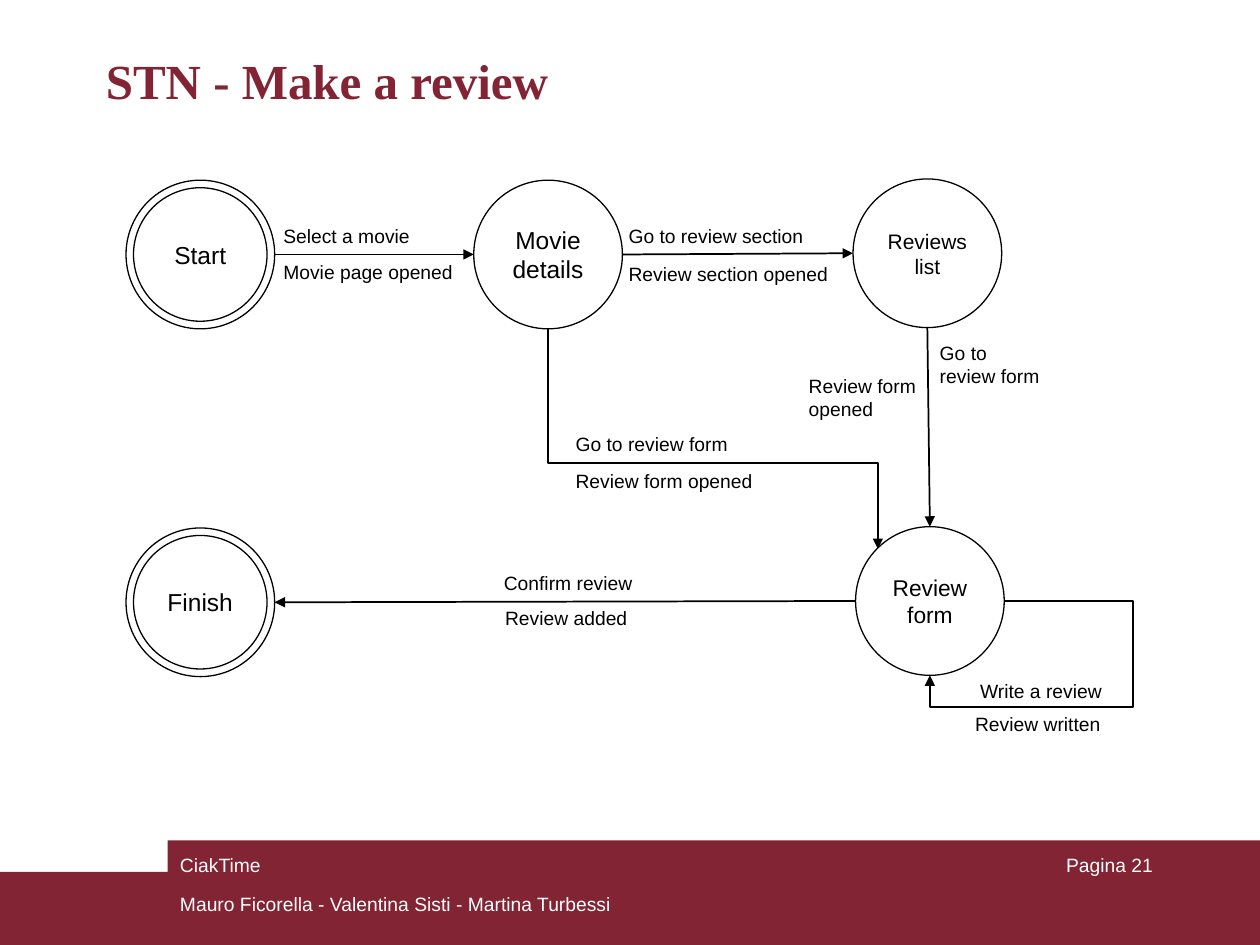
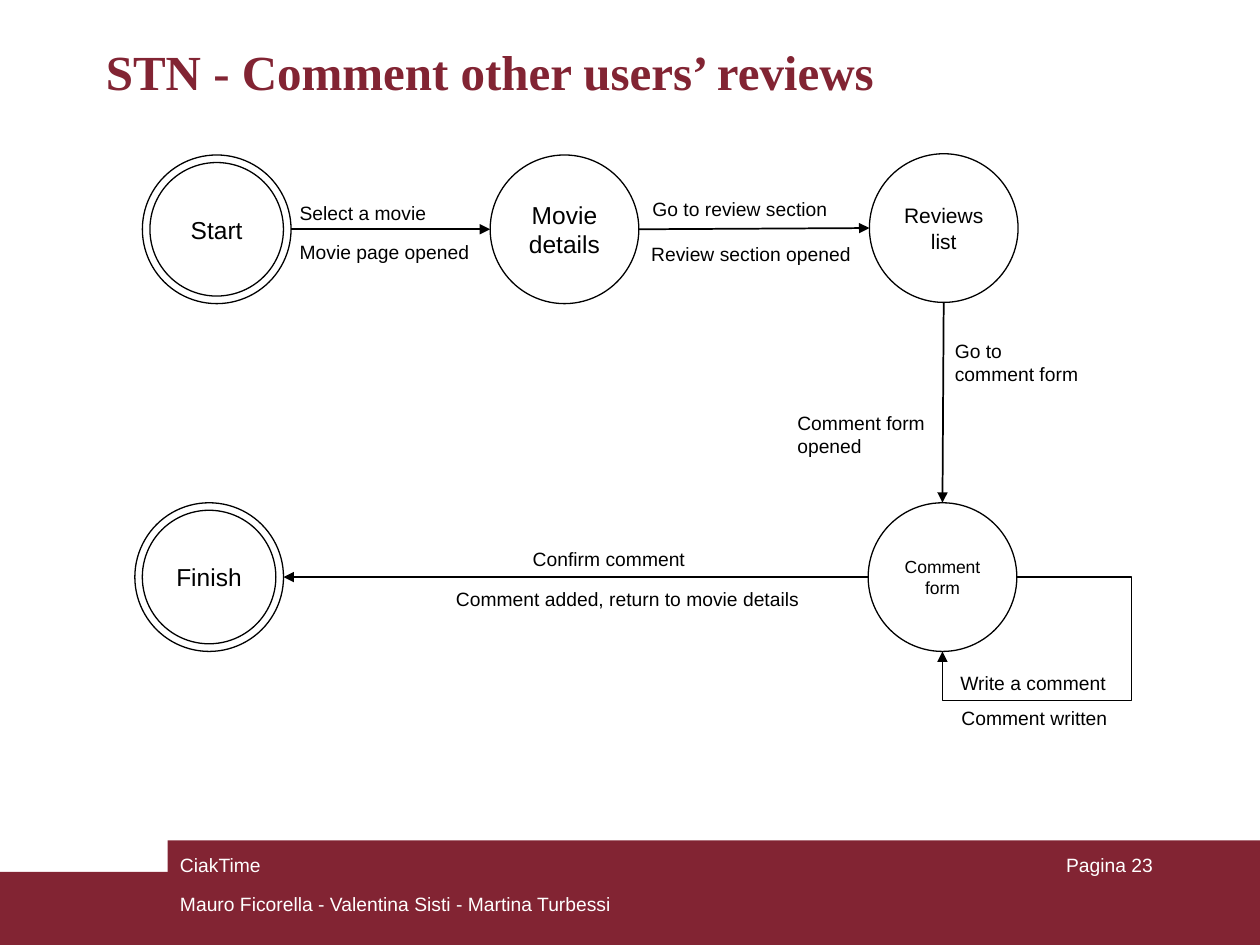
from lxml.etree import SubElement
from pptx import Presentation
from pptx.dml.color import RGBColor
from pptx.enum.shapes import MSO_CONNECTOR, MSO_SHAPE
from pptx.enum.text import MSO_ANCHOR, MSO_AUTO_SIZE, PP_ALIGN
from pptx.oxml.ns import qn
from pptx.util import Inches, Pt

# The slide is a grid of 100 columns by 75 rows of square cells.
COLUMNS, ROWS = 100, 75
CELL = Inches(0.1)

COLORS = {"maroon": "822433", "white": "FFFFFF", "black": "000000"}
BODY_FONT, TITLE_FONT = "Arial", "Times New Roman"
LABEL_SIZE = 11
CIRCLE = 11.8
RING_GAP = 0.6
LINE_HEIGHT = 2.9
TWO_LINES = 4.7

# Points on a circle, as shares of its width and height.
SIDES = {"top": (0.5, 0), "left": (0, 0.5), "bottom": (0.5, 1),
         "right": (1, 0.5), "top left": (0.15, 0.15)}
DOUBLE_STATES = ("Start", "Finish")

# States: text, column, row, text size. Labels: text, column, row, width,
# height, alignment. Both are counted from the diagram's origin.
REVIEW = {
    "title": "STN - Make a review", "title_row": 3.5, "page": 21,
    "origin": (10, 14.3),
    "states": {
        "start": ("Start", 0, 0, 14),
        "details": ("Movie details", 27.6, 0, 14),
        "list": ("Reviews list", 57.7, -0.1, 12),
        "form": ("Review form", 57.9, 27.5, 13),
        "finish": ("Finish", 0, 27.6, 14),
    },
    "loop": (10.2, 2.5),
    "shortcut_share": 0.61,
    "labels": [
        ("Select a movie", 11.5, 3, 15.4, LINE_HEIGHT, "left"),
        ("Movie page opened", 11.5, 5.8, 16.1, LINE_HEIGHT, "left"),
        ("Go to review section", 38.9, 3, 18.1, LINE_HEIGHT, "left"),
        ("Review section opened", 38.9, 6, 18.3, LINE_HEIGHT, "left"),
        ("Go to\nreview form", 63.6, 12.3, 11.8, TWO_LINES, "left"),
        ("Review form opened", 53.2, 14.9, 12.9, TWO_LINES, "left"),
        ("Go to review form", 34.7, 19.5, 15.2, LINE_HEIGHT, "left"),
        ("Review form opened", 34.7, 22.4, 17.4, LINE_HEIGHT, "left"),
        ("Confirm review", 29, 30.5, 28.9, LINE_HEIGHT, "left"),
        ("Review added", 29.1, 33.3, 13.9, LINE_HEIGHT, "left"),
        ("Write a review", 66.8, 39.1, 12, LINE_HEIGHT, "left"),
        ("Review written", 66.4, 41.7, 13.6, LINE_HEIGHT, "left"),
    ],
}
COMMENT = {
    "title": "STN - Comment other users’ reviews", "title_row": 2.8, "page": 23,
    "origin": (11.3, 12.3),
    "states": {
        "start": ("Start", 0, 0, 14),
        "details": ("Movie details", 27.6, 0, 14),
        "list": ("Reviews list", 57.7, -0.1, 12),
        "form": ("Comment form", 57.6, 27.6, 10),
        "finish": ("Finish", -0.6, 27.6, 14),
    },
    "loop": (9.1, 3.9),
    "shortcut_share": None,
    "labels": [
        ("Select a movie", 11.5, 3.1, 15.4, LINE_HEIGHT, "left"),
        ("Movie page opened", 11.5, 6.2, 16.1, LINE_HEIGHT, "left"),
        ("Go to review section", 39.5, 2.8, 18.1, LINE_HEIGHT, "left"),
        ("Review section opened", 39.4, 6.4, 18.3, LINE_HEIGHT, "left"),
        ("Go to comment form", 63.5, 14.1, 11.8, TWO_LINES, "left"),
        ("Comment form opened", 51, 19.8, 13.3, TWO_LINES, "left"),
        ("Confirm comment", 30, 30.6, 14.4, LINE_HEIGHT, "left"),
        ("Comment added, return to movie details",
         23.9, 33.8, 30.5, LINE_HEIGHT, "left"),
        ("Write a comment", 63.5, 40.4, 14.4, LINE_HEIGHT, "center"),
        ("Comment written", 63.6, 43.2, 14.4, LINE_HEIGHT, "center"),
    ],
}
STRAIGHT_ARROWS = [("start", "right", "details", "left"),
                   ("details", "right", "list", "left"),
                   ("list", "bottom", "form", "top"),
                   ("form", "left", "finish", "right")]
ALIGNMENTS = {"left": PP_ALIGN.LEFT, "center": PP_ALIGN.CENTER,
              "right": PP_ALIGN.RIGHT}


def cells(*counts):
    return [round(count * CELL) for count in counts]


def color(name):
    return RGBColor.from_string(COLORS[name])


def format_text(text_frame, size, color_name, align="left",
                font_name=BODY_FONT, bold=False):
    text_frame.word_wrap = True
    for paragraph in text_frame.paragraphs:
        paragraph.alignment = ALIGNMENTS[align]
        for run in paragraph.runs:
            run.font.name = font_name
            run.font.size = Pt(size)
            run.font.bold = bold
            run.font.color.rgb = color(color_name)


def add_label(slide, text, box, align="left", color_name="black",
              anchor=MSO_ANCHOR.MIDDLE):
    text_frame = slide.shapes.add_textbox(*cells(*box)).text_frame
    text_frame.text = text
    text_frame.vertical_anchor = anchor
    format_text(text_frame, LABEL_SIZE, color_name, align)


def add_bands(slide):
    """Draw the two maroon bands and move them to the slide's layout."""
    layout_tree = slide.slide_layout.shapes.element
    for number, (left, top) in enumerate([(0, 69.2), (13.3, 66.7)]):
        band = slide.shapes.add_shape(
            MSO_SHAPE.RECTANGLE, *cells(left, top, COLUMNS - left, ROWS - top))
        band.shadow.inherit = False
        band.fill.solid()
        band.fill.fore_color.rgb = color("maroon")
        band.line.fill.background()
        band.element.nvSpPr.cNvPr.set("id", str(100 + number))
        layout_tree.insert(2 + number, band.element)


def add_title(slide, text, row):
    title = slide.shapes.title
    title.left, title.top, title.width, title.height = cells(7.4, row, 85.3, 6.4)
    text_frame = title.text_frame
    text_frame.text = text
    text_frame.auto_size = MSO_AUTO_SIZE.NONE
    text_frame.vertical_anchor = MSO_ANCHOR.TOP
    format_text(text_frame, 28, "maroon", font_name=TITLE_FONT, bold=True)


def add_footer(slide, page):
    for text, box, align in [
            ("CiakTime", (13.3, 67.2, 31.7, 5), "left"),
            ("Mauro Ficorella - Valentina Sisti - Martina Turbessi",
             (13.3, 70.3, 37.1, LINE_HEIGHT), "left"),
            (f"Pagina {page}", (71.7, 67.2, 20.8, 5), "right")]:
        add_label(slide, text, box, align, "white", MSO_ANCHOR.TOP)


def add_circle(slide, left, top, diameter):
    circle = slide.shapes.add_shape(
        MSO_SHAPE.OVAL, *cells(left, top, diameter, diameter))
    circle.shadow.inherit = False
    circle.fill.background()
    circle.line.color.rgb = color("black")
    circle.line.width = Pt(0.75)
    return circle


def add_state(slide, text, left, top, size):
    circle = add_circle(slide, left, top, CIRCLE)
    if text in DOUBLE_STATES:
        circle = add_circle(slide, left + RING_GAP, top + RING_GAP,
                            CIRCLE - 2 * RING_GAP)
    circle.text_frame.text = text
    circle.text_frame.vertical_anchor = MSO_ANCHOR.MIDDLE
    format_text(circle.text_frame, size, "black", "center")


def add_arrow(slide, start, end, kind=MSO_CONNECTOR.STRAIGHT):
    arrow = slide.shapes.add_connector(kind, *cells(*start, *end))
    arrow.line.color.rgb = color("black")
    arrow.line.width = Pt(1)
    SubElement(arrow.line._get_or_add_ln(), qn("a:tailEnd"), type="triangle")
    SubElement(arrow.element.spPr, qn("a:effectLst"))
    return arrow


def set_bends(arrow, preset, *shares):
    geometry = arrow.element.spPr.find(qn("a:prstGeom"))
    geometry.set("prst", preset)
    for number, share in enumerate(shares, 1):
        SubElement(geometry.find(qn("a:avLst")), qn("a:gd"), name=f"adj{number}",
                   fmla=f"val {round(share * 100000)}")


def add_loop(slide, start, end, reach, drop):
    """Lead out to the right by reach and back from below by drop."""
    arrow = add_arrow(slide, start, end, MSO_CONNECTOR.ELBOW)
    width, height = start[0] - end[0], end[1] - start[1]
    set_bends(arrow, "bentConnector4", -reach / width, 1 + drop / height)


def add_down_across_down(slide, start, end, share):
    """A mirrored elbow turned by 270 degrees leaves its start downwards."""
    center_x, center_y = [(a + b) / 2 for a, b in zip(start, end)]
    half_across, half_down = [(b - a) / 2 for a, b in zip(start, end)]
    arrow = add_arrow(slide, (center_x + half_down, center_y - half_across),
                      (center_x - half_down, center_y + half_across),
                      MSO_CONNECTOR.ELBOW)
    arrow.element.spPr.find(qn("a:xfrm")).set("rot", str(270 * 60000))
    set_bends(arrow, "bentConnector3", share)


def add_diagram(slide, content):
    left, top = content["origin"]
    states = content["states"]

    def point(state, side):
        _, column, row, _ = states[state]
        across, down = SIDES[side]
        return left + column + across * CIRCLE, top + row + down * CIRCLE

    for text, column, row, size in states.values():
        add_state(slide, text, left + column, top + row, size)
    for source, source_side, target, target_side in STRAIGHT_ARROWS:
        add_arrow(slide, point(source, source_side), point(target, target_side))
    add_loop(slide, point("form", "right"), point("form", "bottom"),
             *content["loop"])
    if content["shortcut_share"]:
        add_down_across_down(slide, point("details", "bottom"),
                             point("form", "top left"), content["shortcut_share"])
    for text, column, row, width, height, align in content["labels"]:
        add_label(slide, text, (left + column, top + row, width, height), align)


def main():
    presentation = Presentation()
    presentation.slide_width, presentation.slide_height = cells(COLUMNS, ROWS)
    title_only = presentation.slide_layouts[5]
    for number, content in enumerate([REVIEW, COMMENT]):
        slide = presentation.slides.add_slide(title_only)
        if number == 0:
            add_bands(slide)
        add_title(slide, content["title"], content["title_row"])
        add_footer(slide, content["page"])
        add_diagram(slide, content)
    presentation.save("out.pptx")


if __name__ == "__main__":
    main()
